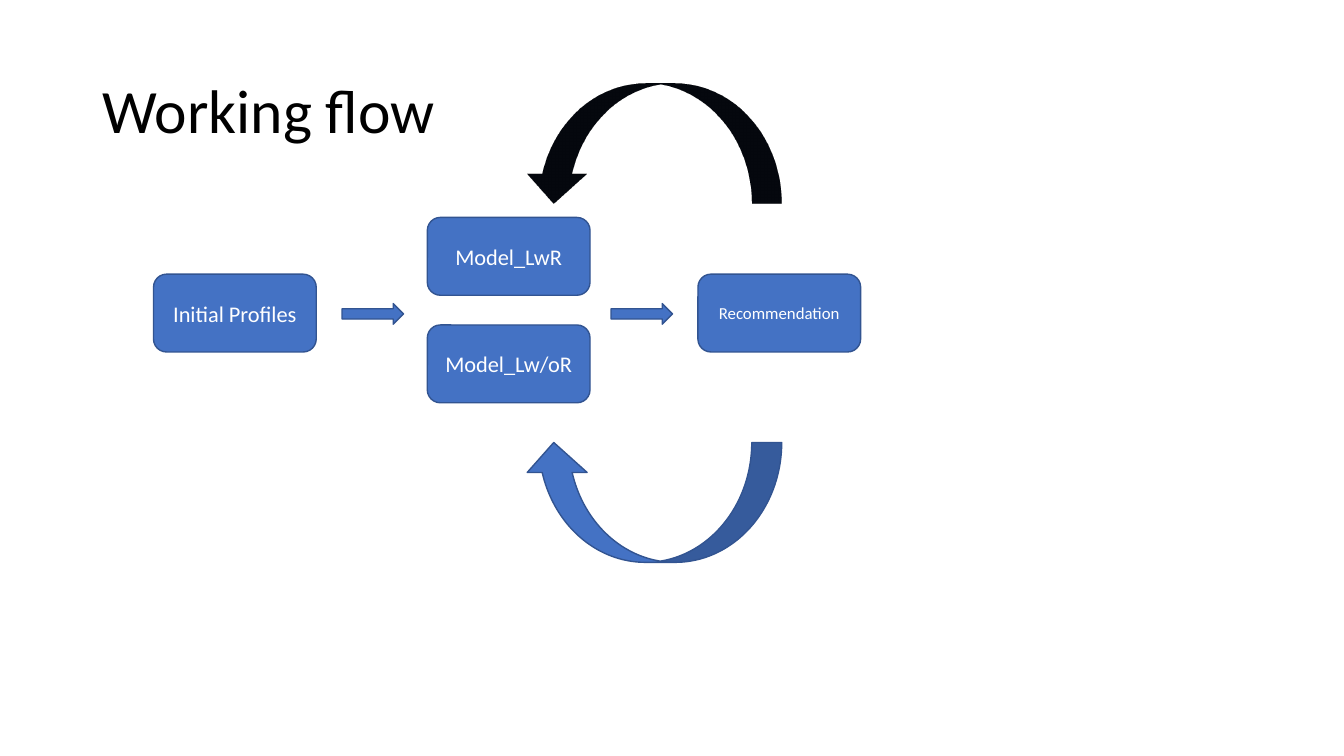
"""Builds the working flow slide with python-pptx."""
from lxml import etree
from pptx import Presentation
from pptx import util as u
from pptx.dml.color import RGBColor
from pptx.enum import shapes, text

BLUE = RGBColor(0x44, 0x72, 0xC4)
NAVY = RGBColor(0x32, 0x54, 0x91)
WHITE = RGBColor(0xFF, 0xFF, 0xFF)
BLACK = RGBColor(0x00, 0x00, 0x00)
TURNED_SCENE = (
    '<a:scene3d xmlns:a="http://schemas.openxmlformats.org/drawingml/2006/main">'
    '<a:camera prst="orthographicFront"><a:rot lat="0" lon="10800000" rev="0"/></a:camera>'
    '<a:lightRig rig="threePt" dir="t"/></a:scene3d>'
)


class FlowSlide:
    """Holds the style and the current slide."""

    font_name = "Calibri"

    def __init__(self, deck):
        self.page = deck.slides.add_slide(deck.slide_layouts[5])

    def label(self, frame, words, size, color, align):
        frame.text = words
        frame.word_wrap = True
        frame.vertical_anchor = text.MSO_ANCHOR.MIDDLE
        para = frame.paragraphs[0]
        para.alignment = align
        para.font.name = self.font_name
        para.font.size = u.Pt(size)
        para.font.color.rgb = color
        return para

    def title(self, words, left, top, width, height):
        box = self.page.shapes.title
        box.left, box.top = u.Cm(left), u.Cm(top)
        box.width, box.height = u.Cm(width), u.Cm(height)
        para = self.label(box.text_frame, words, 44, BLACK, text.PP_ALIGN.LEFT)
        para.line_spacing = 0.9

    def shape(self, kind, left, top, width, height):
        shape = self.page.shapes.add_shape(
            kind, u.Cm(left), u.Cm(top), u.Cm(width), u.Cm(height))
        shape.fill.solid()
        shape.fill.fore_color.rgb = BLUE
        shape.line.color.rgb = NAVY
        shape.line.width = u.Pt(1)
        shape.shadow.inherit = False
        return shape

    def step(self, words, left, top, size=16):
        box = self.shape(shapes.MSO_SHAPE.ROUNDED_RECTANGLE, left, top, 4.1, 1.96)
        self.label(box.text_frame, words, size, WHITE, text.PP_ALIGN.CENTER)

    def arrow(self, left):
        self.shape(shapes.MSO_SHAPE.RIGHT_ARROW, left, 7.65, 1.55, 0.52)

    def loop(self, top):
        return self.shape(shapes.MSO_SHAPE.CURVED_DOWN_ARROW, 13.2, top, 6.5, 3.02)


deck = Presentation()
deck.slide_width, deck.slide_height = u.Cm(33.87), u.Cm(19.05)
flow = FlowSlide(deck)
flow.title("Working flow", 2.33, 1.01, 29.21, 3.68)

flow.step("Initial Profiles", 3.87, 6.91)
flow.arrow(8.62)
flow.step("Model_LwR", 10.77, 5.48)
flow.step("Model_Lw/oR", 10.77, 8.19)
flow.arrow(15.4)
flow.step("Recommendation", 17.59, 6.91, size=12)

upper_loop = flow.loop(2.1)
upper_loop.element.spPr.append(etree.fromstring(TURNED_SCENE))
lower_loop = flow.loop(11.15)
lower_loop.rotation = 180

deck.save("out.pptx")
